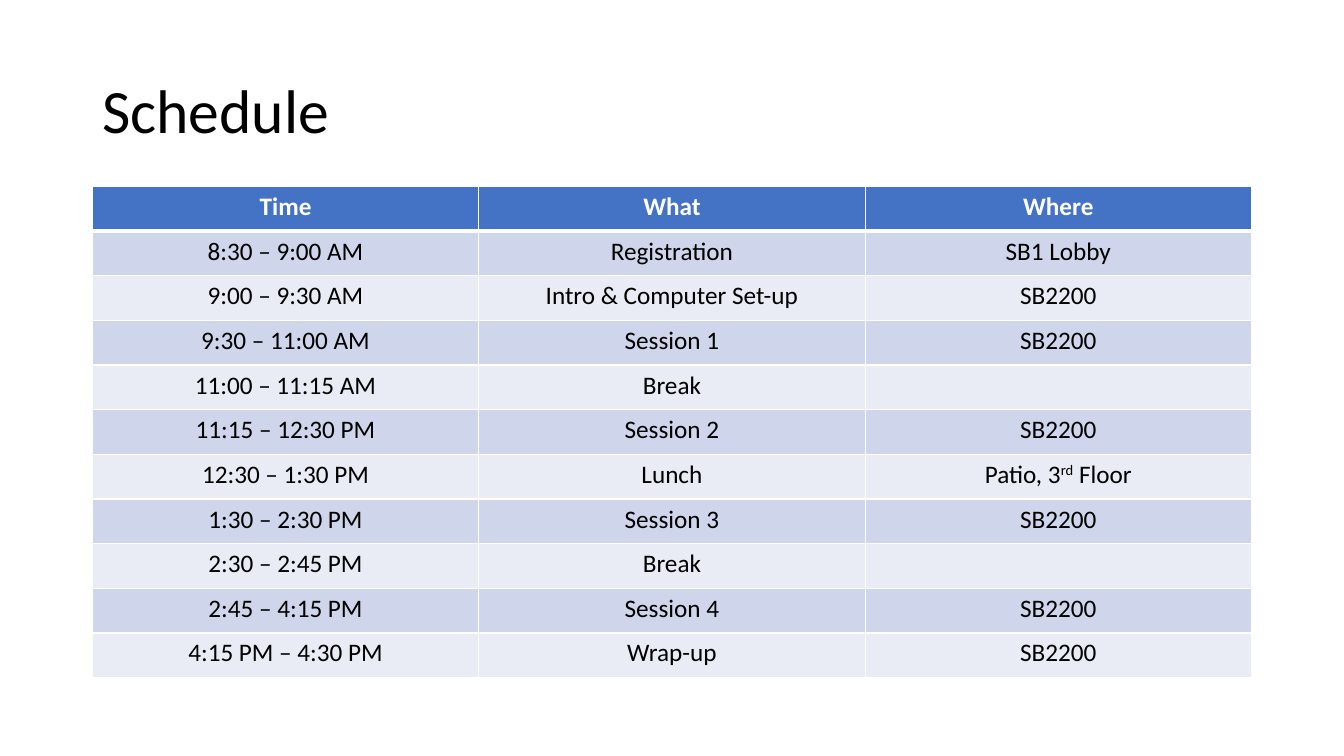
"""Build a one-slide workshop schedule with a title and a table."""
from lxml import etree
from pptx import Presentation
from pptx.dml.color import RGBColor
from pptx.enum.text import MSO_ANCHOR, PP_ALIGN
from pptx.oxml.ns import qn
from pptx.util import Pt

LEFT, CENTER = PP_ALIGN.LEFT, PP_ALIGN.CENTER
MIDDLE = MSO_ANCHOR.MIDDLE
FONT = "Calibri"
COLORS = {
    "text": "000000",
    "white": "FFFFFF",
    "head": "4472C4",
    "odd": "CFD5EA",
    "even": "E9EBF5",
}
EDGE, WIDTH = 66, 828
ROWS = [
    ("Time", "What", "Where"),
    ("8:30 – 9:00 AM", "Registration", "SB1 Lobby"),
    ("9:00 – 9:30 AM", "Intro & Computer Set-up", "SB2200"),
    ("9:30 – 11:00 AM", "Session 1", "SB2200"),
    ("11:00 – 11:15 AM", "Break", ""),
    ("11:15 – 12:30 PM", "Session 2", "SB2200"),
    ("12:30 – 1:30 PM", "Lunch", "Patio, 3^rd^ Floor"),
    ("1:30 – 2:30 PM", "Session 3", "SB2200"),
    ("2:30 – 2:45 PM", "Break", ""),
    ("2:45 – 4:15 PM", "Session 4", "SB2200"),
    ("4:15 PM – 4:30 PM", "Wrap-up", "SB2200"),
]


def rgb(name):
    return RGBColor.from_string(COLORS[name])


def write(frame, text, size=18, color="text", bold=False, align=CENTER, space=1.0):
    para = frame.paragraphs[0]
    para.alignment = align
    para.line_spacing = space
    para.font.size = Pt(size)
    for i, part in enumerate(text.split("^")):
        if not part:
            continue
        run = para.add_run()
        run.text = part
        font = run.font
        font.name, font.size, font.bold = FONT, Pt(size), bold
        font.color.rgb = rgb(color)
        if i % 2:
            run._r.get_or_add_rPr().set("baseline", "30000")


def border(cell, side, width):
    props = cell._tc.get_or_add_tcPr()
    line = etree.SubElement(props, qn(f"a:ln{side}"), w=str(Pt(width)))
    fill = etree.SubElement(line, qn("a:solidFill"))
    etree.SubElement(fill, qn("a:srgbClr"), val=COLORS["white"])


def add_title(slide, text):
    box = slide.shapes.add_textbox(Pt(EDGE), Pt(28.75), Pt(WIDTH), Pt(104.4))
    frame = box.text_frame
    frame.word_wrap = True
    frame.vertical_anchor = MIDDLE
    write(frame, text, size=44, align=LEFT, space=0.9)


def add_grid(slide, rows, top, height):
    count = len(rows[0])
    table = slide.shapes.add_table(
        len(rows), count, Pt(EDGE), Pt(top), Pt(WIDTH), Pt(height * len(rows))
    ).table
    for col in table.columns:
        col.width = Pt(WIDTH / count)
    for r, texts in enumerate(rows):
        table.rows[r].height = Pt(height)
        head = r == 0
        shade = "head" if head else "odd" if r % 2 else "even"
        for c, text in enumerate(texts):
            cell = table.cell(r, c)
            for side in "LRTB":
                thick = (head and side == "B") or (r == 1 and side == "T")
                border(cell, side, 3 if thick else 1)
            cell.fill.solid()
            cell.fill.fore_color.rgb = rgb(shade)
            write(cell.text_frame, text, color="white" if head else "text", bold=head)


def main():
    deck = Presentation()
    deck.slide_width, deck.slide_height = Pt(960), Pt(540)
    slide = deck.slides.add_slide(deck.slide_layouts[6])
    add_title(slide, "Schedule")
    add_grid(slide, ROWS, top=133.2, height=31.9)
    deck.save("out.pptx")


if __name__ == "__main__":
    main()
